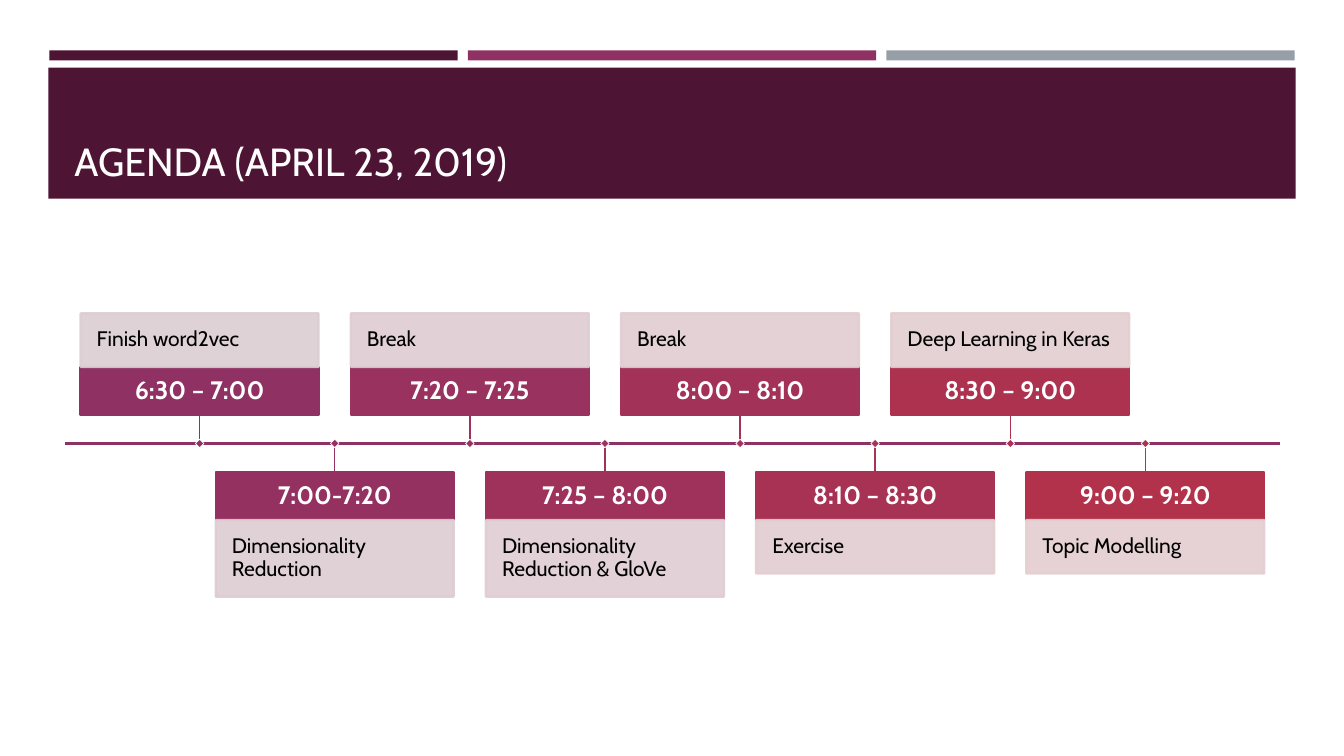
"""Build the agenda slide with a timeline of seven sessions."""
from dataclasses import dataclass

from lxml.etree import SubElement
from pptx import Presentation
from pptx.dml.color import RGBColor
from pptx.enum.shapes import MSO_CONNECTOR, MSO_SHAPE
from pptx.enum.text import MSO_ANCHOR as Anchor, PP_ALIGN as Align
from pptx.oxml.ns import qn
from pptx.util import Inches, Pt

TITLE = "AGENDA (APRIL 23, 2019)"
SESSIONS = [
    ("6:30 – 7:00", "Finish word2vec", 1),
    ("7:00-7:20", "Dimensionality Reduction", 2),
    ("7:20 – 7:25", "Break", 1),
    ("7:25 – 8:00", "Dimensionality Reduction & GloVe", 2),
    ("8:00 – 8:10", "Break", 1),
    ("8:10 – 8:30", "Exercise", 1),
    ("8:30 – 9:00", "Deep Learning in Keras", 1),
    ("9:00 – 9:20", "Topic Modelling", 1),
]


@dataclass(frozen=True)
class Theme:
    """Colours, font and type sizes of the slide."""
    font: str = "Cabin"
    title_size: int = 28
    time_size: int = 18
    topic_size: int = 15
    dark: str = "4D1434"
    plum: str = "903163"
    grey: str = "969FA7"
    white: str = "FFFFFF"
    title: str = "FFFEFF"
    black: str = "000000"
    times: tuple = ("903163", "953161", "99325E", "9E325B",
                    "A33258", "A83254", "AD3250", "B2324B")
    topics: tuple = ("DBCED3", "DDCDD3", "DECDD2", "DFCDD2",
                     "E1CDD2", "E2CDD1", "E3CED0", "E4CED0")
    markers: tuple = ("903163", "943161", "973160", "9F325B",
                      "A33258", "A63256", "AA3252", "AE324F")


THEME = Theme()
AXIS_Y, AXIS_LEFT, AXIS_RIGHT = 4.4, 0.64, 12.7
CARD_LEFT, CARD_STEP, CARD_WIDTH = 0.8, 1.34, 2.36
TIME_HEIGHT, STEM, MARKER = 0.48, 0.28, 0.06
TOPIC_HEIGHTS = {1: 0.53, 2: 0.76}
BAR_LEFT, BAR_STEP, BAR_WIDTH = 0.49, 4.15, 4.05

presentation = Presentation()
presentation.slide_width, presentation.slide_height = Inches(13.33), Inches(7.5)
slide = presentation.slides.add_slide(presentation.slide_layouts[6])


def set_alpha(fill_format, percent):
    color = fill_format._xPr.find(qn("a:solidFill"))[0]
    SubElement(color, qn("a:alpha"), val=str(percent * 1000))


def add_box(left, top, width, height, fill, line=None, line_width=1.75, alpha=100):
    shape = slide.shapes.add_shape(
        MSO_SHAPE.RECTANGLE, Inches(left), Inches(top), Inches(width), Inches(height))
    shape.shadow.inherit = False
    shape.fill.solid()
    shape.fill.fore_color.rgb = RGBColor.from_string(fill)
    if line:
        shape.line.color.rgb = RGBColor.from_string(line)
        shape.line.width = Pt(line_width)
    else:
        shape.line.fill.background()
    if alpha < 100:
        set_alpha(shape.fill, alpha)
        set_alpha(shape.line.fill, alpha)
    return shape


def add_line(x1, y1, x2, y2, color, width):
    connector = slide.shapes.add_connector(
        MSO_CONNECTOR.STRAIGHT, Inches(x1), Inches(y1), Inches(x2), Inches(y2))
    connector.line.color.rgb = RGBColor.from_string(color)
    connector.line.width = Pt(width)
    SubElement(connector._element.spPr, qn("a:effectLst"))


def write(shape, text, size, color, inset, anchor=Anchor.MIDDLE, align=Align.LEFT, bold=False):
    frame = shape.text_frame
    frame.text = text
    frame.word_wrap = True
    frame.vertical_anchor = anchor
    frame.margin_left = frame.margin_right = Inches(inset[0])
    frame.margin_top = frame.margin_bottom = Inches(inset[1])
    paragraph = frame.paragraphs[0]
    paragraph.alignment = align
    paragraph.line_spacing = 0.9
    font = paragraph.runs[0].font
    font.name, font.size, font.bold = THEME.font, Pt(size), bold
    font.color.rgb = RGBColor.from_string(color)


for index, color in enumerate((THEME.dark, THEME.plum, THEME.grey)):
    add_box(BAR_LEFT + index * BAR_STEP, 0.5, BAR_WIDTH, 0.1, color)
add_box(0.48, 0.67, 12.37, 1.3, THEME.dark)
title = slide.shapes.add_textbox(Inches(0.64), Inches(0.77), Inches(12.06), Inches(1.11))
write(title, TITLE, THEME.title_size, THEME.title, (0.1, 0.05), Anchor.BOTTOM)

add_line(AXIS_LEFT, AXIS_Y, AXIS_RIGHT, AXIS_Y, THEME.plum, 1.75)
for index, (time, topic, line_count) in enumerate(SESSIONS):
    above = index % 2 == 0
    left = CARD_LEFT + index * CARD_STEP
    center = left + CARD_WIDTH / 2
    topic_height = TOPIC_HEIGHTS[line_count]
    if above:
        stem_end = AXIS_Y - STEM
        time_top = stem_end - TIME_HEIGHT
        topic_top = time_top - topic_height
    else:
        stem_end = time_top = AXIS_Y + STEM
        topic_top = time_top + TIME_HEIGHT
    accent, tint = THEME.times[index], THEME.topics[index]

    time_box = add_box(left, time_top, CARD_WIDTH, TIME_HEIGHT, accent, accent)
    write(time_box, time, THEME.time_size, THEME.white, (0.1, 0.1), align=Align.CENTER, bold=True)
    topic_box = add_box(left, topic_top, CARD_WIDTH, topic_height, tint, tint, alpha=90)
    write(topic_box, topic, THEME.topic_size, THEME.black, (0.16, 0.16))
    add_line(center, stem_end, center, AXIS_Y, accent, 1)
    marker = add_box(center - MARKER / 2, AXIS_Y - MARKER / 2, MARKER, MARKER,
                     THEME.markers[index], THEME.white, 0.5)
    marker.rotation = 45

presentation.save("out.pptx")
